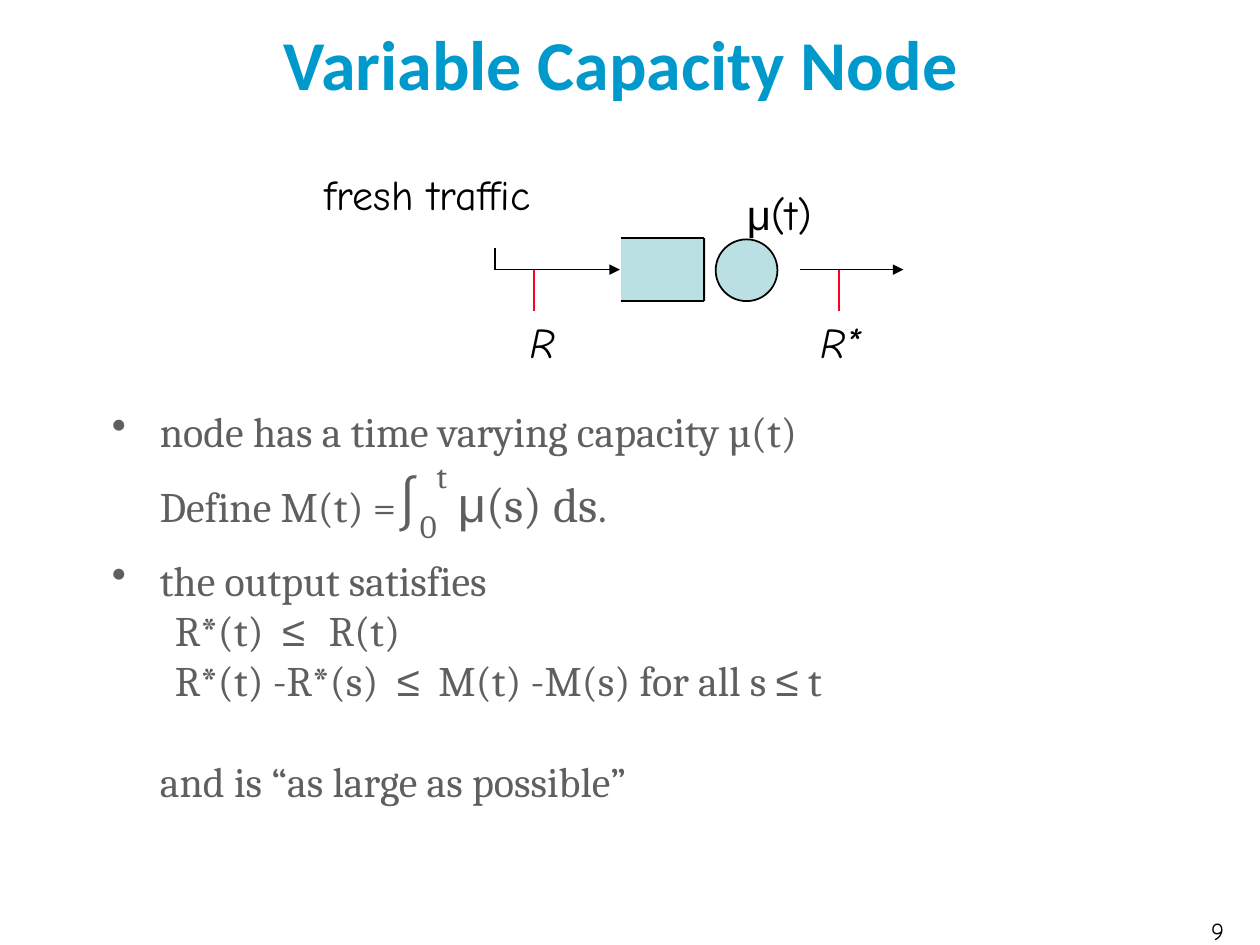
from dataclasses import dataclass

from pptx import Presentation
from pptx.dml.color import RGBColor
from pptx.enum.shapes import MSO_CONNECTOR as Connector, MSO_SHAPE as Shape
from pptx.enum.text import MSO_ANCHOR as Anchor, PP_ALIGN as Align
from pptx.oxml.ns import qn
from pptx.util import Inches, Pt
from lxml.etree import SubElement


@dataclass(frozen=True)
class Theme:
    title: RGBColor = RGBColor(0x00, 0x99, 0xCC)
    body: RGBColor = RGBColor(0x5F, 0x5F, 0x5F)
    ink: RGBColor = RGBColor(0x00, 0x00, 0x00)
    node: RGBColor = RGBColor(0xBB, 0xE0, 0xE3)
    marker: RGBColor = RGBColor(0xFC, 0x01, 0x28)
    title_font: str = "Calibri"
    body_font: str = "Cambria"
    label_font: str = "Comic Neue"
    symbol_font: str = "Arial"
    title_size: int = 40
    integral_size: int = 32
    integrand_size: int = 28
    text_size: int = 24
    number_size: int = 14


THEME = Theme()


def set_font(font, name, size, color):
    font.name = name
    font.size = Pt(size)
    font.color.rgb = color


def add_text(shapes, box, text, font, size, color, align=Align.LEFT, wrap=True):
    shape = shapes.add_textbox(*map(Inches, box))
    shape.text_frame.word_wrap = wrap
    paragraph = shape.text_frame.paragraphs[0]
    paragraph.alignment = align
    set_font(paragraph.font, font, size, color)
    paragraph.add_run().text = text
    return shape


def add_line(shapes, start, end, color=THEME.ink, arrow=False):
    line = shapes.add_connector(Connector.STRAIGHT, *map(Inches, (*start, *end)))
    line.line.color.rgb = color
    line.line.width = Pt(1)
    if arrow:
        SubElement(line.line._get_or_add_ln(), qn("a:tailEnd"), type="triangle")
    SubElement(line._element.spPr, qn("a:effectLst"))


def add_filled(shapes, kind, box):
    shape = shapes.add_shape(kind, *map(Inches, box))
    shape.shadow.inherit = False
    shape.fill.solid()
    shape.fill.fore_color.rgb = THEME.node
    shape.line.fill.background()
    return shape


def add_title(slide, box):
    shape = add_text(slide.shapes, box, "Variable Capacity Node", THEME.title_font,
                     THEME.title_size, THEME.title, Align.CENTER)
    shape.text_frame.vertical_anchor = Anchor.MIDDLE
    shape.text_frame.paragraphs[0].font.bold = True


def add_label(shapes, box, text, align=Align.LEFT, wrap=False):
    return add_text(shapes, box, text, THEME.label_font, THEME.text_size,
                    THEME.ink, align, wrap)


def add_diagram(slide, left, top):
    shapes = slide.shapes.add_group_shape().shapes
    axis = top + 0.85
    queue_left, queue_right = left + 2.45, left + 3.11
    queue_top, queue_bottom = axis - 0.25, axis + 0.25

    add_line(shapes, (left + 1.45, axis), (left + 2.44, axis), arrow=True)
    server = add_filled(shapes, Shape.OVAL, (left + 3.2, axis - 0.24, 0.49, 0.49))
    server.line.color.rgb = THEME.ink
    server.line.width = Pt(1)
    add_filled(shapes, Shape.RECTANGLE, (queue_left, queue_top, 0.67, 0.5))
    for y in (queue_top, queue_bottom):
        add_line(shapes, (queue_left, y), (queue_right, y))
    add_line(shapes, (queue_right, queue_top), (queue_right, queue_bottom))
    add_line(shapes, (left + 3.87, axis), (left + 4.69, axis), arrow=True)
    add_line(shapes, (left + 1.45, axis), (left + 1.45, axis - 0.17))

    add_label(shapes, (left, top, 2.32, 0.9), "fresh traffic", wrap=True)
    rate = add_label(shapes, (left + 3.35, top + 0.16, 0.79, 0.5), "μ")
    paragraph = rate.text_frame.paragraphs[0]
    paragraph.runs[0].font.name = THEME.symbol_font
    paragraph.add_run().text = "(t)"

    flows = (("R", 1.76, 1.61, 0.41), ("R*", 4.18, 3.86, 0.59))
    for text, marker_x, label_x, width in flows:
        add_line(shapes, (left + marker_x, axis), (left + marker_x, axis + 0.33),
                 THEME.marker)
        label = add_label(shapes, (left + label_x, top + 1.17, width, 0.5),
                          text, Align.RIGHT)
        label.text_frame.paragraphs[0].font.italic = True


def add_run(paragraph, text, size=THEME.text_size, baseline=0, font=THEME.body_font):
    for index, part in enumerate(text.split("\n")):
        if index:
            paragraph.add_line_break()
        if part:
            run = paragraph.add_run()
            run.text = part
            set_font(run.font, font, size, THEME.body)
            if baseline:
                run.font._element.set("baseline", str(baseline * 1000))


def add_bullet(paragraph, runs):
    set_font(paragraph.font, THEME.body_font, THEME.text_size, THEME.body)
    paragraph.space_before = Pt(5)
    properties = paragraph._p.get_or_add_pPr()
    properties.set("marL", str(Inches(0.38)))
    properties.set("indent", str(Inches(-0.38)))
    bullet = properties.makeelement(qn("a:buChar"), {"char": "•"})
    properties.find(qn("a:defRPr")).addprevious(bullet)
    for text, *style in runs:
        add_run(paragraph, text, *style)


def add_body(slide, box):
    frame = slide.shapes.add_textbox(*map(Inches, box)).text_frame
    frame.word_wrap = True
    large, medium = THEME.integral_size, THEME.integrand_size
    symbol = (THEME.text_size, 0, THEME.symbol_font)
    add_bullet(frame.paragraphs[0], (
        ("node has a time varying capacity µ(t)\nDefine M(t) =",),
        ("∫", large),
        ("0", large, -30),
        ("t", large, 60),
        (" ", medium),
        ("μ", medium, 0, THEME.symbol_font),
        ("(s) ds", medium),
        (".",),
    ))
    add_bullet(frame.add_paragraph(), (
        ("the output satisfies \n\tR*(t)  ",),
        ("≤  ", *symbol),
        ("R(t)\n\tR*(t) -R*(s)  ",),
        ("≤", *symbol),
        ("  M(t) -M(s) for all s ",),
        ("≤", *symbol),
        (" t\n\nand is “as large as possible”",),
    ))


def add_slide_number(slide, box):
    add_text(slide.shapes, box, "9", THEME.label_font, THEME.number_size,
             THEME.ink, Align.CENTER)


def main():
    presentation = Presentation()
    presentation.slide_width = Inches(10)
    presentation.slide_height = Inches(7.5)
    slide = presentation.slides.add_slide(presentation.slide_layouts[6])
    add_title(slide, (0.12, 0, 9.61, 0.99))
    add_body(slide, (0.79, 3.17, 9.09, 4.21))
    add_slide_number(slide, (9.33, 7.22, 0.67, 0.28))
    add_diagram(slide, 2.48, 1.29)
    presentation.save("out.pptx")


if __name__ == "__main__":
    main()
